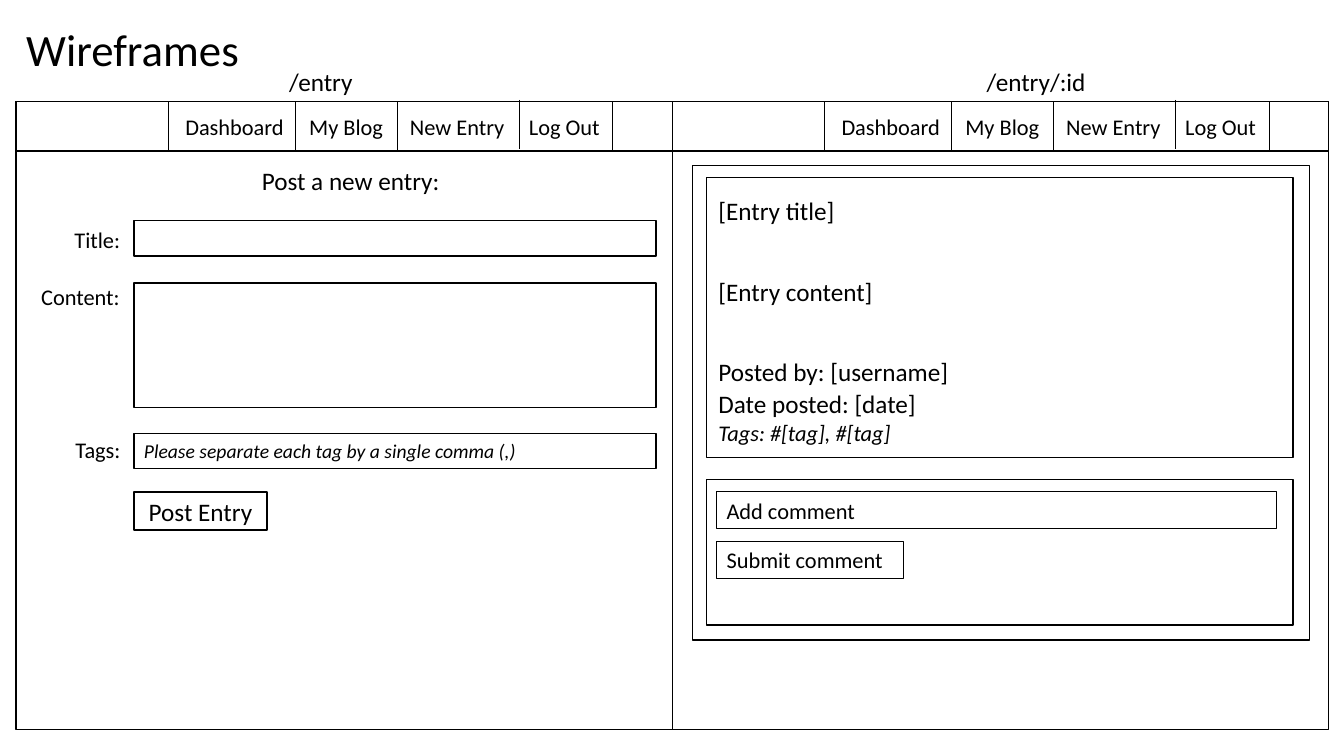
import pptx
import pptx.util
import pptx.dml.color
import pptx.enum.shapes
import pptx.enum.text
import pptx.oxml.ns
from lxml import etree

Pt = pptx.util.Pt
ALIGN = pptx.enum.text.PP_ALIGN
ANCHOR = pptx.enum.text.MSO_ANCHOR
AUTO = pptx.enum.text.MSO_AUTO_SIZE
BLACK = pptx.dml.color.RGBColor(0, 0, 0)
FONT = "Calibri"

PANEL_LEFT, PANEL_TOP = 11.5, 72.7
PANEL_W, PANEL_H = 468.7, 448.6
NAV_H = 35.3
FIELD_X, FIELD_W = 84.2, 373
LABEL_RIGHT = 82.1


def write(sp, text, size, italic=False, align=ALIGN.LEFT, anchor=ANCHOR.TOP, wrap=True):
    tf = sp.text_frame
    tf.word_wrap = wrap
    tf.vertical_anchor = anchor
    p = tf.paragraphs[0]
    p.text = text
    p.alignment = align
    p.font.name = FONT
    p.font.size = Pt(size)
    p.font.italic = italic
    p.font.color.rgb = BLACK
    return tf


def add_label(s, x, y, w, text, size=16, wrap=False, **style):
    h = 28.8 if size == 18 else 26.6
    sp = s.shapes.add_textbox(Pt(x), Pt(y), Pt(w), Pt(h))
    tf = write(sp, text, size, wrap=wrap, **style)
    tf.auto_size = AUTO.SHAPE_TO_FIT_TEXT


def add_frame(s, x, y, w, h, weight=1):
    sp = s.shapes.add_shape(pptx.enum.shapes.MSO_SHAPE.RECTANGLE, Pt(x), Pt(y), Pt(w), Pt(h))
    sp.shadow.inherit = False
    sp.fill.background()
    sp.line.color.rgb = BLACK
    sp.line.width = Pt(weight)
    return sp


def add_divider(s, x, y):
    line = s.shapes.add_connector(
        pptx.enum.shapes.MSO_CONNECTOR.STRAIGHT, Pt(x), Pt(y), Pt(x), Pt(y + NAV_H))
    line.line.color.rgb = BLACK
    line.line.width = Pt(0.5)
    etree.SubElement(line._element.spPr, pptx.oxml.ns.qn("a:effectLst"))


def add_title(s, x, y, w, h):
    sp = s.shapes.title
    sp.left, sp.top, sp.width, sp.height = Pt(x), Pt(y), Pt(w), Pt(h)
    tf = write(sp, "Wireframes", 32, anchor=ANCHOR.MIDDLE)
    tf.auto_size = AUTO.NONE
    tf.paragraphs[0].line_spacing = 0.9


def add_nav(s, x, y):
    add_frame(s, x, y, PANEL_W, NAV_H)
    for dx, dy in ((108.7, 0), (199.4, 0), (272.2, 0), (359.3, -1.4), (426.2, 0)):
        add_divider(s, x + dx, y + dy)
    for text, dx, w in (("Dashboard", 113.8, 85.7), ("My Blog", 202.3, 70.6),
                        ("New Entry", 274.3, 83.5), ("Log Out", 359.3, 67)):
        add_label(s, x + dx, y + 4.3, w, text, wrap=True)


def add_panel(s, x, y, route, route_dx, route_w):
    add_frame(s, x, y, PANEL_W, PANEL_H)
    add_label(s, x + route_dx, y - 28.8, route_w, route, 18)
    add_nav(s, x, y)


def add_entry_form(s, x, y):
    add_panel(s, x, y, "/entry", 187.9, 60.5)
    add_label(s, x + 156.2, y + 41.8, 165.6, "Post a new entry:", 18, wrap=True,
              align=ALIGN.CENTER)
    # Labelled fields: label, width, label y, field y, field height, hint
    for text, w, label_y, field_y, h, hint in (
            ("Title:", 47.5, 85, 85, 25.2, ""),
            ("Content:", 71.3, 126, 129.6, 88.6, ""),
            ("Tags:", 46.8, 235.4, 236.9, 25.2,
             "Please separate each tag by a single comma (,)")):
        add_label(s, x + LABEL_RIGHT - w, y + label_y, w, text)
        field = add_frame(s, x + FIELD_X, y + field_y, FIELD_W, h)
        if hint:
            write(field, hint, 14, italic=True, anchor=ANCHOR.MIDDLE)
    # Submit button
    button = add_frame(s, x + FIELD_X, y + 278.6, 95, 27.4)
    write(button, "Post Entry", 18, align=ALIGN.CENTER, anchor=ANCHOR.MIDDLE)


def add_entry_view(s, x, y):
    add_panel(s, x, y, "/entry/:id", 217.4, 86.4)
    add_frame(s, x + 14.4, y + 45.4, 440.6, 339.1)
    # Entry
    add_frame(s, x + 24.5, y + 54, 419, 200.2)
    for text, dy, w in (("[Entry title]", 63.4, 97.9), ("[Entry content]", 121, 126),
                        ("Posted by: [username]", 178.6, 180.7),
                        ("Date posted: [date]", 200.9, 157)):
        add_label(s, x + 25.9, y + dy, w, text, 18)
    add_label(s, x + 25.9, y + 223.2, 139, "Tags: #[tag], #[tag]", italic=True)
    # Comments
    add_frame(s, x + 24.5, y + 270, 419, 103.7)
    for text, dy, w in (("Add comment", 278.6, 399.6), ("Submit comment", 313.9, 133.2)):
        sp = add_frame(s, x + 31.7, y + dy, w, 26.6, 0.75)
        write(sp, text, 16).auto_size = AUTO.SHAPE_TO_FIT_TEXT


def main():
    prs = pptx.Presentation()
    prs.slide_width, prs.slide_height = Pt(960), Pt(540)
    s = prs.slides.add_slide(prs.slide_layouts[5])
    add_title(s, PANEL_LEFT, -15.1, 828, 104.4)
    add_entry_form(s, PANEL_LEFT, PANEL_TOP)
    add_entry_view(s, PANEL_LEFT + PANEL_W, PANEL_TOP)
    prs.save("out.pptx")


if __name__ == "__main__":
    main()
